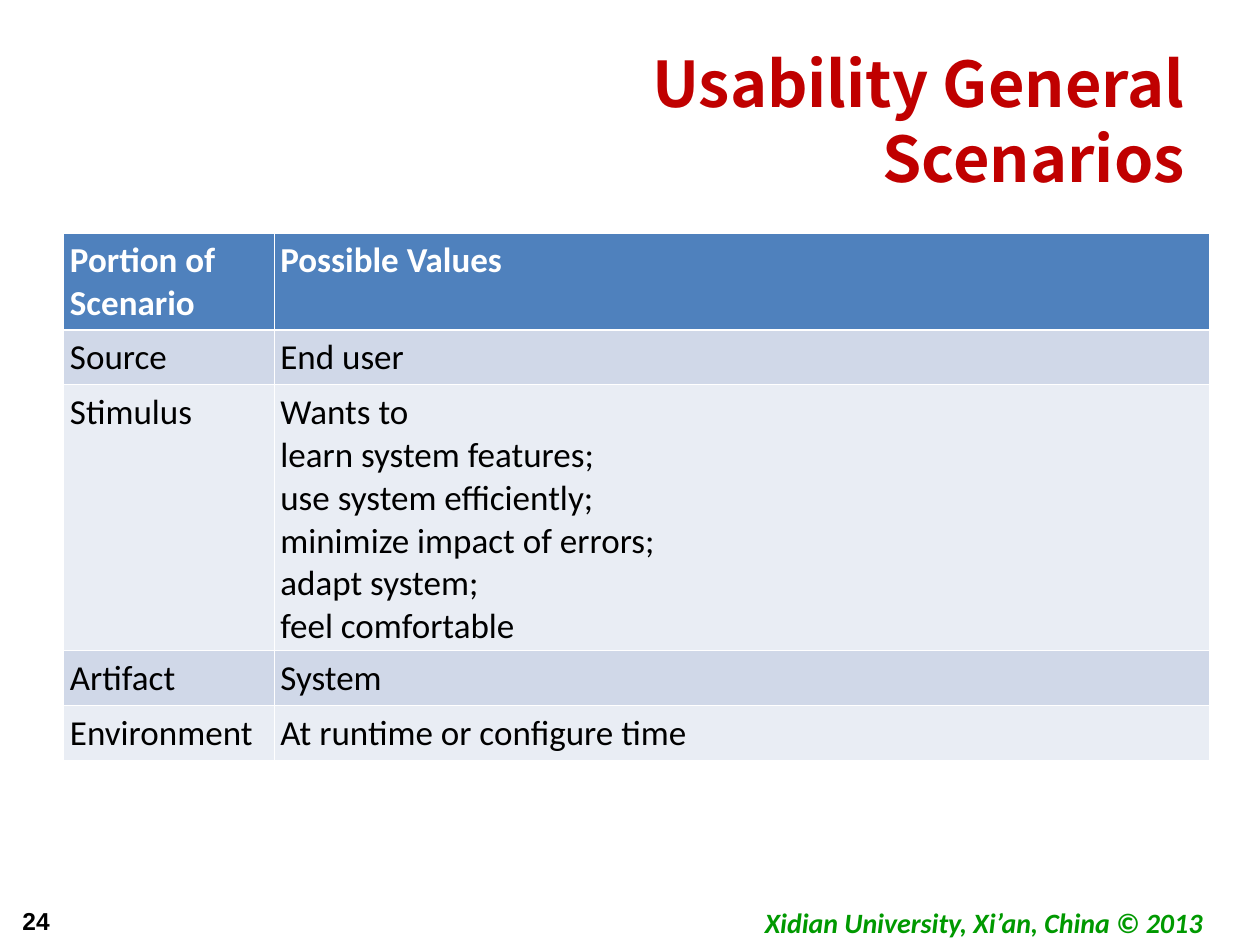
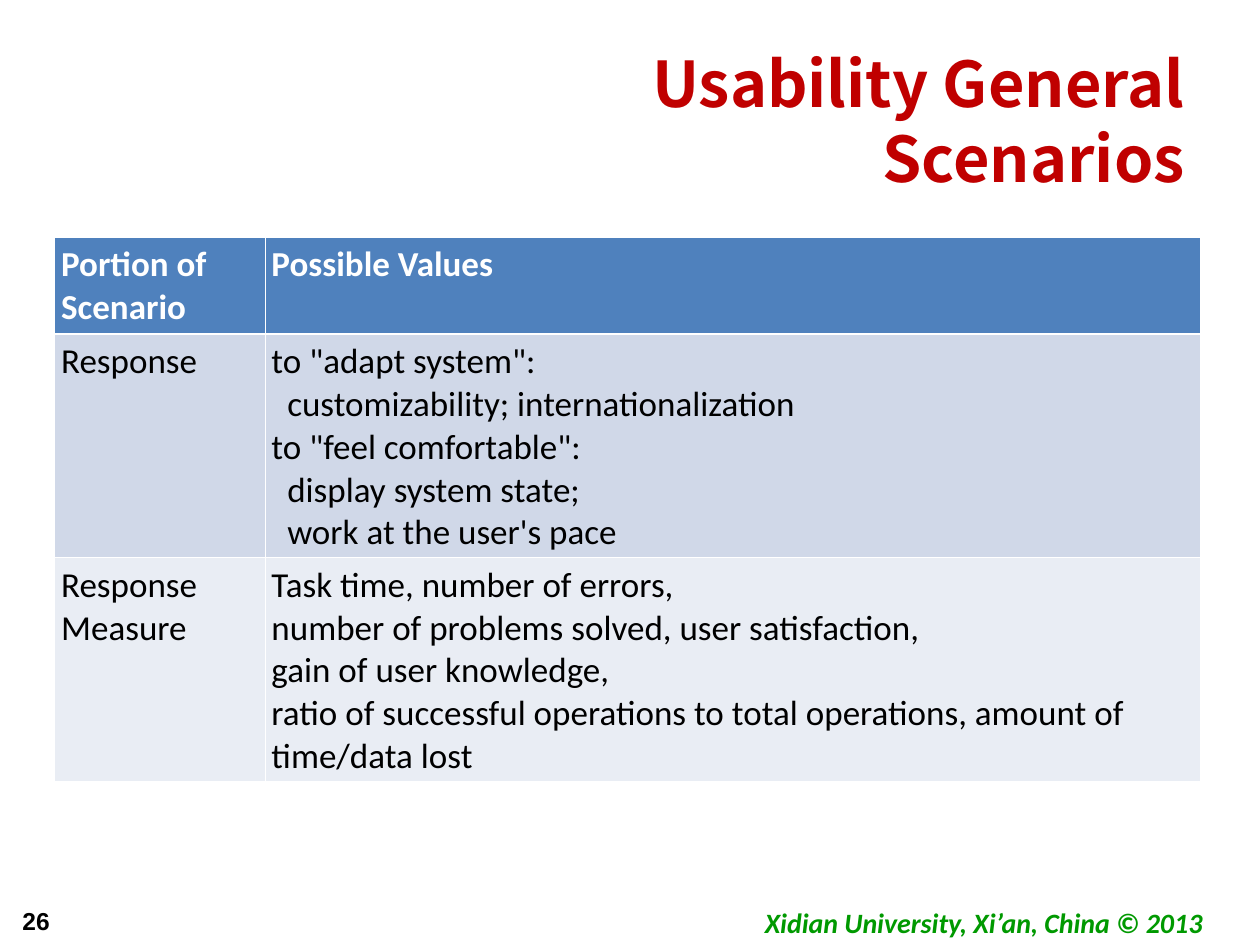
from dataclasses import dataclass
from typing import NamedTuple

from lxml.etree import SubElement
from pptx import Presentation
from pptx.dml.color import RGBColor
from pptx.enum.text import MSO_ANCHOR as Anchor, MSO_AUTO_SIZE as Fit, PP_ALIGN as Align
from pptx.oxml.ns import qn
from pptx.util import Inches, Pt

COLS, ROWS = 100, 75
UNIT = Inches(0.1)
LINE = 3.35
PAD = 0.5
WIDTHS = (16.7, 74.2)
RED, GREEN, BLACK, WHITE = "C00000", "009900", "000000", "FFFFFF"
HEAD, BANDS = "4F81BD", ("D0D8E8", "E9EDF4")
THIN, THICK = 0.45, 1.47


class Box(NamedTuple):
    left: float
    top: float
    width: float
    height: float

    def emu(self) -> tuple[int, ...]:
        return tuple(span(n) for n in self)


class Font(NamedTuple):
    name: str
    size: int
    tint: str
    bold: bool = True
    slant: bool = False


class Row(NamedTuple):
    label: str
    values: tuple[str, ...]
    lines: int
    nested: tuple[int, ...] = ()


@dataclass
class Page:
    number: int
    left: float
    top: float
    rows: tuple[Row, ...]


TITLE = Font("Noto Sans CJK SC", 36, RED)
NOTE = Font("Calibri", 16, GREEN, slant=True)
NUMBER = Font("Arial", 14, BLACK)
LABEL = Font("Calibri", 20, WHITE)
BODY = Font("Calibri", 20, BLACK, bold=False)

HEADER = Row("Portion of Scenario", ("Possible Values",), 2)
PAGES = (
    Page(24, 5.05, 18.5, (
        Row("Source", ("End user",), 1),
        Row("Stimulus", (
            "Wants to",
            "learn system features;",
            "use system efficiently;",
            "minimize impact of errors;",
            "adapt system;",
            "feel comfortable",
        ), 6),
        Row("Artifact", ("System",), 1),
        Row("Environment", ("At runtime or configure time",), 1),
    )),
    Page(26, 4.35, 18.8, (
        Row("Response", (
            'to "adapt system":',
            "customizability; internationalization",
            'to "feel comfortable":',
            "display system state;",
            "work at the user's pace",
        ), 5, nested=(1, 3, 4)),
        Row("Response Measure", (
            "Task time, number of errors,",
            "number of problems solved, user satisfaction,",
            "gain of user knowledge,",
            "ratio of successful operations to total operations, amount of time/data lost",
        ), 5),
    )),
)


def span(units: float) -> int:
    return round(units * UNIT)


def color(code: str) -> RGBColor:
    return RGBColor.from_string(code)


def write(frame, lines: tuple[str, ...], font: Font, align=Align.LEFT) -> None:
    frame.text = "\n".join(lines)
    for para in frame.paragraphs:
        para.alignment = align
        face = para.font
        face.name, face.size = font.name, Pt(font.size)
        face.bold, face.italic = font.bold, font.slant
        face.color.rgb = color(font.tint)


def edge(cell, tag: str, place: int, width: float) -> None:
    props = cell._tc.get_or_add_tcPr()
    line = props.makeelement(qn(f"a:{tag}"), {"w": str(Pt(width))})
    fill = SubElement(line, qn("a:solidFill"))
    SubElement(fill, qn("a:srgbClr"), val=WHITE)
    props.insert(place, line)


def fill_cell(cell, lines: tuple[str, ...], font: Font, back: str, row: int) -> None:
    write(cell.text_frame, lines, font)
    cell.margin_left = cell.margin_right = span(PAD)
    cell.margin_top = cell.margin_bottom = span(PAD)
    cell.vertical_anchor = Anchor.TOP
    cell.fill.solid()
    cell.fill.fore_color.rgb = color(back)
    top = THICK if row == 1 else THIN
    base = THICK if row == 0 else THIN
    sides = (("lnL", THIN), ("lnR", THIN), ("lnT", top), ("lnB", base))
    for place, (tag, width) in enumerate(sides):
        edge(cell, tag, place, width)


def add_grid(slide, page: Page) -> None:
    rows = (HEADER, *page.rows)
    highs = [2 * PAD + LINE * row.lines for row in rows]
    box = Box(page.left, page.top, sum(WIDTHS), sum(highs))
    table = slide.shapes.add_table(len(rows), len(WIDTHS), *box.emu()).table
    table.first_row = table.horz_banding = False
    for col, width in zip(table.columns, WIDTHS):
        col.width = span(width)
    for i, (row, high) in enumerate(zip(rows, highs)):
        table.rows[i].height = span(high)
        font, back = (BODY, BANDS[(i - 1) % 2]) if i else (LABEL, HEAD)
        for j, lines in enumerate(((row.label,), row.values)):
            fill_cell(table.cell(i, j), lines, font, back, i)
        paras = table.cell(i, 1).text_frame.paragraphs
        for k in row.nested:
            paras[k]._p.get_or_add_pPr().set("marL", str(span(1.25)))


def add_title(slide) -> None:
    title = slide.shapes.title
    title.left, title.top, title.width, title.height = Box(38.2, 3, 56.8, 12.5).emu()
    frame = title.text_frame
    write(frame, ("Usability General Scenarios",), TITLE, Align.RIGHT)
    frame.auto_size, frame.word_wrap = Fit.NONE, True
    frame.vertical_anchor = Anchor.TOP


def add_foot(slide, number: int) -> None:
    note = slide.shapes.add_textbox(*Box(57.8, 71.1, 40.6, 3.9).emu()).text_frame
    write(note, ("Xidian University, Xi’an, China © 2013",), NOTE, Align.CENTER)
    note.paragraphs[0].line_spacing = 1.1
    note.vertical_anchor, note.word_wrap = Anchor.MIDDLE, False
    count = slide.shapes.add_textbox(*Box(0.8, 71.4, 5.9, 3.4).emu()).text_frame
    write(count, (str(number),), NUMBER)
    count.word_wrap = True


def main() -> None:
    deck = Presentation()
    deck.slide_width, deck.slide_height = span(COLS), span(ROWS)
    layout = deck.slide_layouts.get_by_name("Title Only")
    for page in PAGES:
        slide = deck.slides.add_slide(layout)
        add_foot(slide, page.number)
        add_title(slide)
        add_grid(slide, page)
    deck.save("out.pptx")


if __name__ == "__main__":
    main()
